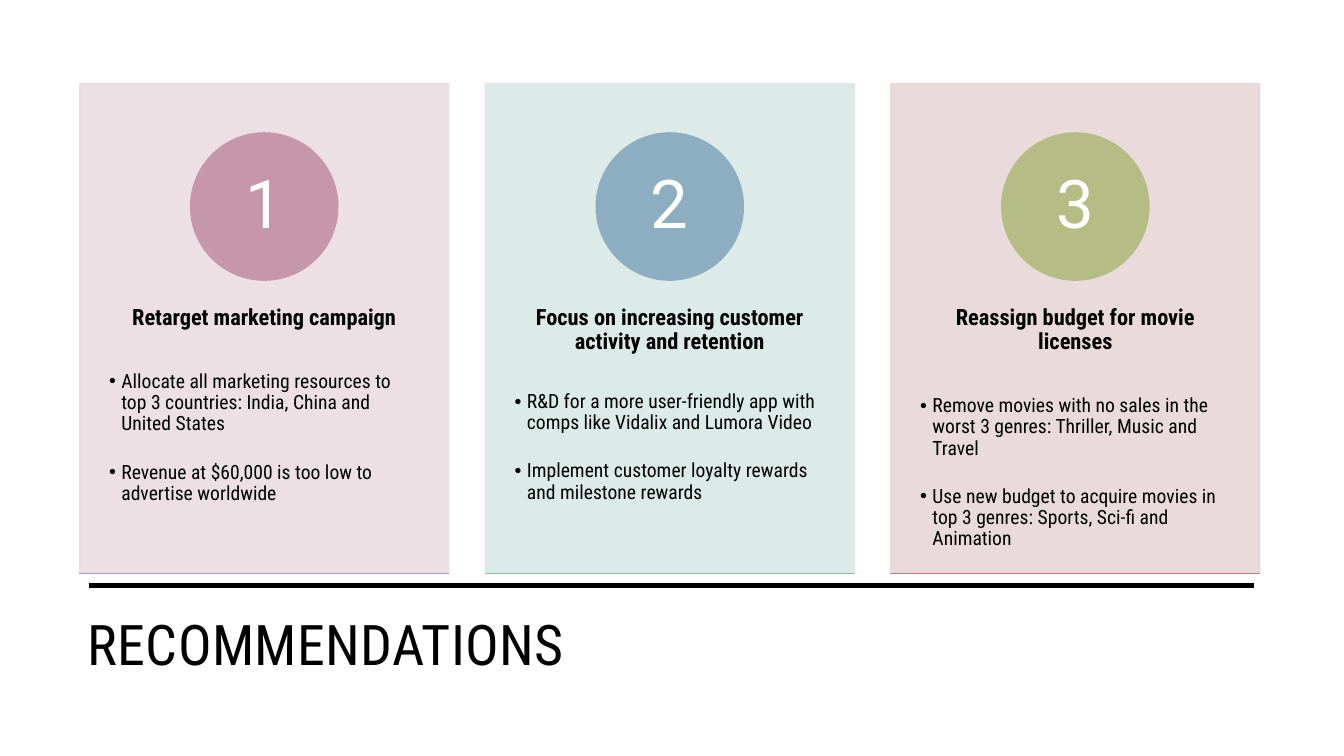
from dataclasses import dataclass

from lxml import etree
from pptx import Presentation
from pptx.dml.color import RGBColor
from pptx.enum.shapes import MSO_CONNECTOR, MSO_SHAPE
from pptx.enum.text import MSO_ANCHOR, PP_ALIGN
from pptx.oxml.ns import qn
from pptx.util import Cm, Pt

RECTANGLE = MSO_SHAPE.RECTANGLE
OVAL = MSO_SHAPE.OVAL
STRAIGHT = MSO_CONNECTOR.STRAIGHT
TOP = MSO_ANCHOR.TOP
MIDDLE = MSO_ANCHOR.MIDDLE
LEFT = PP_ALIGN.LEFT
CENTER = PP_ALIGN.CENTER


@dataclass(frozen=True)
class Theme:
    ink: str = "000000"
    paper: str = "FFFFFF"
    body_font: str = "Roboto Condensed"
    number_font: str = "Roboto"
    title_size: float = 40
    number_size: float = 48
    heading_size: float = 16
    bullet_size: float = 14
    line_spacing: float = 0.9
    bullet_gap: float = 19.2
    card_opacity: int = 90


@dataclass(frozen=True)
class Box:
    left: float
    top: float
    width: float
    height: float

    def lengths(self) -> tuple:
        return Cm(self.left), Cm(self.top), Cm(self.width), Cm(self.height)


@dataclass(frozen=True)
class Recommendation:
    heading: str
    actions: tuple[str, ...]
    card: str
    badge: str
    accent: str
    heading_gap: float


THEME = Theme()
CARD_LEFT, CARD_TOP = 2.01, 2.11
CARD_WIDTH, CARD_HEIGHT, CARD_PITCH = 9.3, 12.32, 10.22
BADGE_SIZE, BADGE_TOP = 3.71, 3.35
NUMBER_SIZE = 2.62
HANGING = 0.31

RECOMMENDATIONS = (
    Recommendation(
        "Retarget marketing campaign",
        ("Allocate all marketing resources to top 3 countries: India, China and United States",
         "Revenue at $60,000 is too low to advertise worldwide"),
        "EADDE2", "C696A9", "AA91C4", 29.4),
    Recommendation(
        "Focus on increasing customer activity and retention",
        ("R&D for a more user-friendly app with comps like Vidalix and Lumora Video",
         "Implement customer loyalty rewards and milestone rewards"),
        "DAE9E6", "8DAEC1", "88BF96", 26.5),
    Recommendation(
        "Reassign budget for movie licenses",
        ("Remove movies with no sales in the worst 3 genres: Thriller, Music and Travel",
         "Use new budget to acquire movies in top 3 genres: Sports, Sci-fi and Animation"),
        "E7D8D8", "B5BC84", "BA807F", 29.4),
)


def apply(target, values: dict) -> None:
    for name, value in values.items():
        setattr(target, name, value)


def add_panel(slide, preset, box: Box, color: str, opacity: int = 100) -> None:
    panel = slide.shapes.add_shape(preset, *box.lengths())
    panel.shadow.inherit = False
    panel.fill.solid()
    panel.line.width = Pt(1)
    for paint in (panel.fill.fore_color, panel.line.color):
        paint.rgb = RGBColor.from_string(color)
    if opacity < 100:
        for paint in panel.element.spPr.iter(qn("a:srgbClr")):
            etree.SubElement(paint, qn("a:alpha"), val=str(opacity * 1000))


def add_frame(slide, box: Box, side: float, edge: float, anchor):
    frame = slide.shapes.add_textbox(*box.lengths()).text_frame
    apply(frame, {
        "word_wrap": True, "vertical_anchor": anchor,
        "margin_left": Cm(side), "margin_right": Cm(side),
        "margin_top": Cm(edge), "margin_bottom": Cm(edge),
    })
    return frame


def write(paragraph, text: str, size: float, align=LEFT, font: str = THEME.body_font,
          color: str = THEME.ink, bold: bool = False, gap: float = 0):
    apply(paragraph, {"alignment": align, "line_spacing": THEME.line_spacing,
                      "space_after": Pt(gap)})
    run = paragraph.add_run()
    run.text = text
    apply(run.font, {"name": font, "size": Pt(size), "bold": bold})
    run.font.color.rgb = RGBColor.from_string(color)
    return run


def add_bullet(paragraph) -> None:
    properties = paragraph._p.get_or_add_pPr()
    properties.set("marL", str(Cm(HANGING)))
    properties.set("indent", str(-Cm(HANGING)))
    etree.SubElement(properties, qn("a:buFont"), typeface="Arial")
    etree.SubElement(properties, qn("a:buChar"), char="•")


def add_recommendation(slide, index: int, item: Recommendation) -> None:
    left = CARD_LEFT + index * CARD_PITCH
    center = left + CARD_WIDTH / 2
    add_panel(slide, RECTANGLE, Box(left, CARD_TOP, CARD_WIDTH, CARD_HEIGHT),
              item.card, THEME.card_opacity)

    advice = add_frame(slide, Box(left, 6.81, CARD_WIDTH, 7.39), 0.74, 0.91, TOP)
    write(advice.paragraphs[0], item.heading, THEME.heading_size, CENTER,
          bold=True, gap=item.heading_gap)
    for action in item.actions:
        paragraph = advice.add_paragraph()
        write(paragraph, action, THEME.bullet_size, gap=THEME.bullet_gap)
        add_bullet(paragraph)

    add_panel(slide, OVAL, Box(center - BADGE_SIZE / 2, BADGE_TOP, BADGE_SIZE, BADGE_SIZE),
              item.badge)
    number_top = BADGE_TOP + (BADGE_SIZE - NUMBER_SIZE) / 2
    number = add_frame(slide, Box(center - NUMBER_SIZE / 2, number_top, NUMBER_SIZE, NUMBER_SIZE),
                       0.28, 0.03, MIDDLE)
    write(number.paragraphs[0], str(index + 1), THEME.number_size, CENTER,
          THEME.number_font, THEME.paper)
    add_panel(slide, RECTANGLE, Box(left, CARD_TOP + CARD_HEIGHT + 0.02, CARD_WIDTH, 0),
              item.accent)


def add_title(slide) -> None:
    rule = slide.shapes.add_connector(STRAIGHT, Cm(2.24), Cm(14.76), Cm(31.6), Cm(14.76))
    rule.line.width = Pt(3.5)
    rule.line.color.rgb = RGBColor.from_string(THEME.ink)
    etree.SubElement(rule.element.spPr, qn("a:effectLst"))
    title = add_frame(slide, Box(1.96, 15.27, 29.79, 2.11), 0.25, 0.13, MIDDLE)
    run = write(title.paragraphs[0], "RECOMMENDATIONS", THEME.title_size)
    run.font._element.set("spc", "30")


def main() -> None:
    deck = Presentation()
    apply(deck, {"slide_width": Cm(33.87), "slide_height": Cm(19.05)})
    slide = deck.slides.add_slide(deck.slide_layouts[6])
    add_title(slide)
    for index, item in enumerate(RECOMMENDATIONS):
        add_recommendation(slide, index, item)
    deck.save("out.pptx")


if __name__ == "__main__":
    main()
